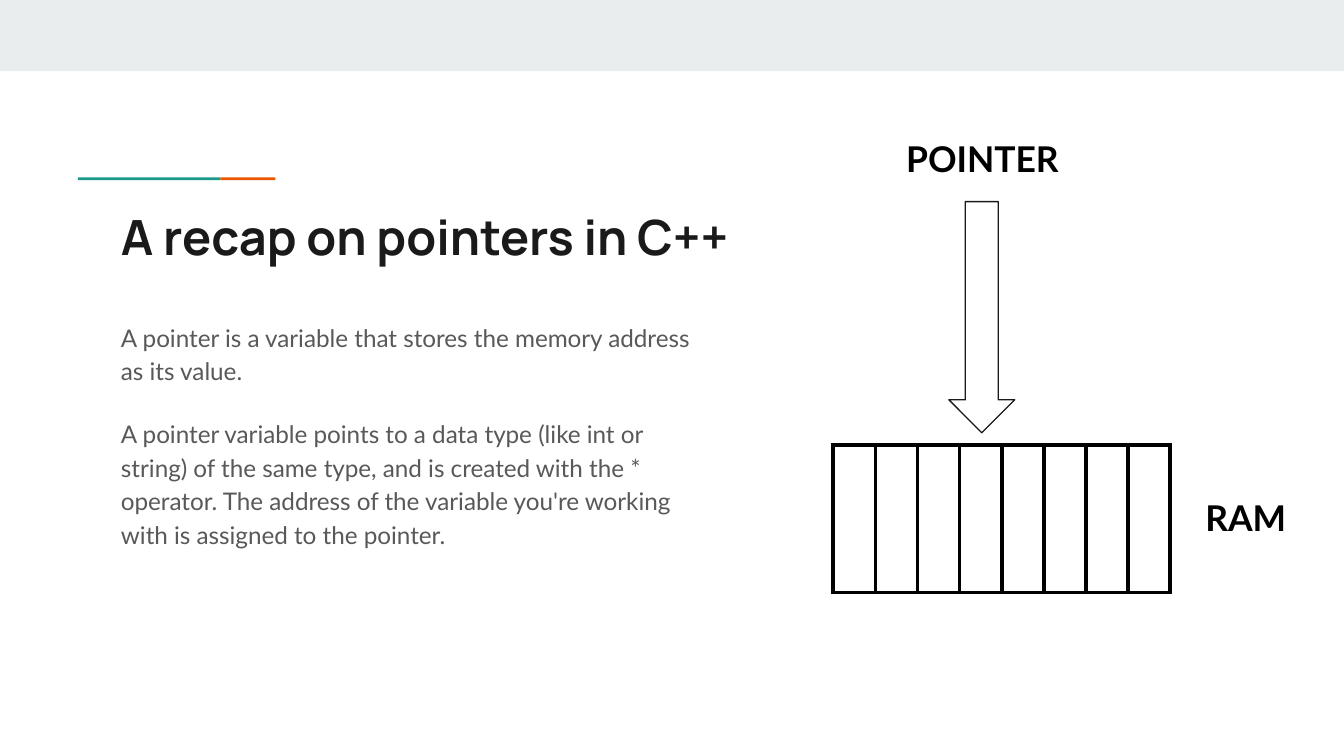
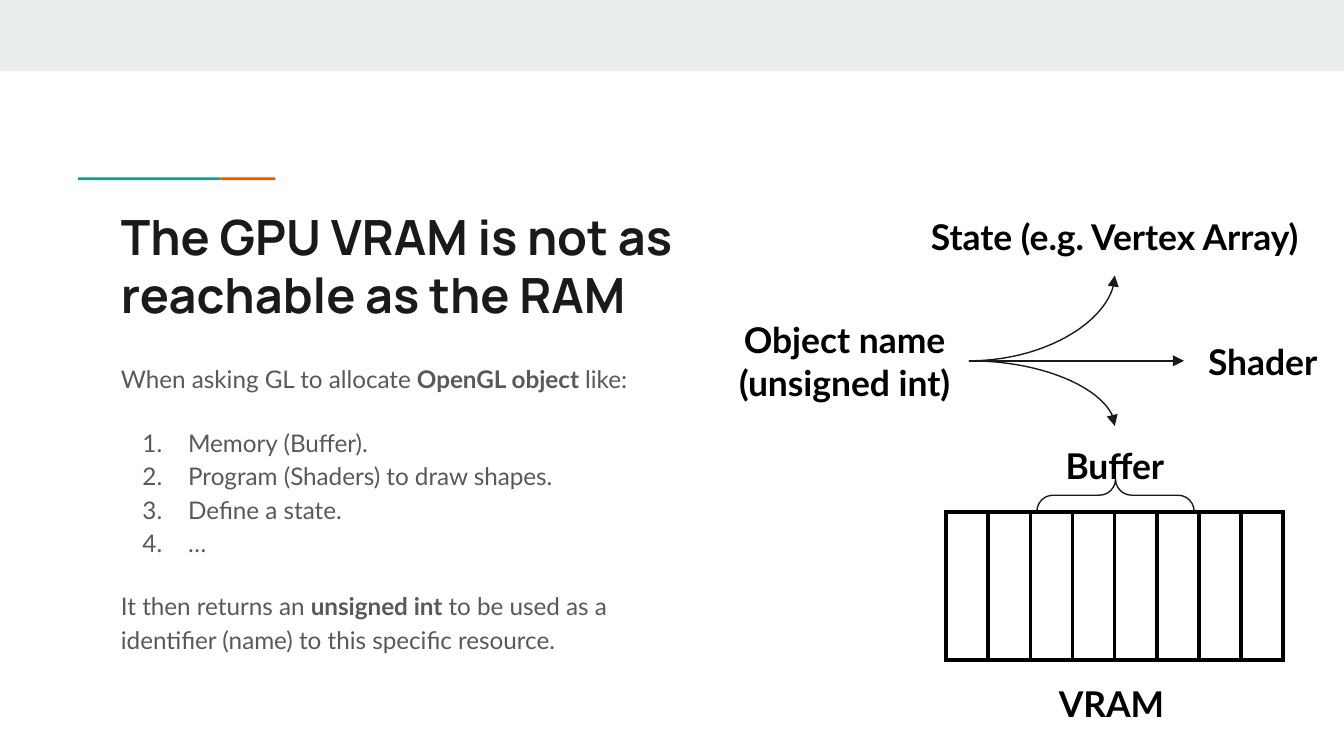
from lxml import etree
from pptx import Presentation
from pptx.dml.color import RGBColor
from pptx.enum.shapes import MSO_CONNECTOR, MSO_SHAPE
from pptx.enum.text import MSO_ANCHOR, MSO_AUTO_SIZE, PP_ALIGN
from pptx.oxml.ns import qn
from pptx.util import Inches, Pt

RECT, DOWN_ARROW, LEFT_BRACE = MSO_SHAPE.RECTANGLE, MSO_SHAPE.DOWN_ARROW, MSO_SHAPE.LEFT_BRACE
CURVE = MSO_CONNECTOR.CURVE
LEFT, CENTER = PP_ALIGN.LEFT, PP_ALIGN.CENTER
TOP, MIDDLE = MSO_ANCHOR.TOP, MSO_ANCHOR.MIDDLE
TOP_SIDE, LEFT_SIDE, BOTTOM_SIDE, RIGHT_SIDE = range(4)


class Theme:
    heading_font, text_font = "Manrope", "Lato"
    title_size, body_size, label_size = 26, 13, 19
    ink, grey, black = "1A1A1A", "595959", "000000"
    band, teal, orange = "E9EDEE", "1A9988", "EB5600"
    thin, cell_border = 0.75, 2.25
    line_spacing, paragraph_gap = 1.15, 16


# Shared bars: left, top, width, height, colour
BARS = [
    (0, 0, 10, 0.53, Theme.band),
    (0.58, 1.32, 1.06, 0.02, Theme.teal),
    (1.64, 1.32, 0.41, 0.02, Theme.orange),
]

# Body paragraphs: (style, runs); a run is (text, bold)
POINTER = {
    "title": ("A recap on pointers in C++", (0.8, 1.44, 8.41, 0.59)),
    "body_box": (0.8, 2.27, 4.56, 2.47),
    "body": [
        ("plain", [("A pointer is a variable that stores the memory address as its value.", False)]),
        ("plain", [("A pointer variable points to a data type (like int or string) of the same "
                    "type, and is created with the * operator. The address of the variable "
                    "you're working with is assigned to the pointer.", False)]),
    ],
    "memory": (6.2, 3.31),
    "labels": {
        "RAM": ((8.87, 3.58, 0.89, 0.54), LEFT),
        "POINTER": ((6.6, 0.94, 1.42, 0.47), CENTER),
    },
    "outlines": [(DOWN_ARROW, (7.06, 1.5, 0.49, 1.72), 0)],
    "arrows": [],
}

VRAM = {
    "title": ("The GPU VRAM is not as reachable as the RAM", (0.8, 1.44, 4.37, 0.59)),
    "body_box": (0.8, 2.58, 4.56, 2.37),
    "body": [
        ("plain", [("When asking GL to allocate ", False), ("OpenGL object", True), (" like:", False)]),
        ("number", [("Memory (Buffer).", False)]),
        ("number", [("Program (Shaders) to draw shapes.", False)]),
        ("number", [("Define a state.", False)]),
        ("number", [("…", False)]),
        ("plain", [("It then returns an ", False), ("unsigned int", True),
                   (" to be used as a identifier (name) to this specific resource.", False)]),
    ],
    "memory": (7.04, 3.81),
    "labels": {
        "VRAM": ((7.78, 4.96, 1.03, 0.54), LEFT),
        "Object name\n(unsigned int)": ((5.36, 2.39, 1.85, 0.59), CENTER),
        "Buffer": ((7.07, 3.17, 2.45, 0.59), CENTER),
        "Shader": ((8.81, 2.39, 1.17, 0.59), CENTER),
        "State (e.g. Vertex Array)": ((6.78, 1.46, 3.03, 0.59), CENTER),
    },
    "outlines": [(LEFT_BRACE, (8.18, 3.1, 0.24, 1.17), 90)],
    # From label, to label, side reached, connector preset
    "arrows": [
        ("Object name\n(unsigned int)", "Buffer", TOP_SIDE, "curvedConnector2"),
        ("Object name\n(unsigned int)", "Shader", LEFT_SIDE, "curvedConnector3"),
        ("Object name\n(unsigned int)", "State (e.g. Vertex Array)", BOTTOM_SIDE, "curvedConnector2"),
    ],
}


def rgb(color):
    return RGBColor.from_string(color)


def inches(box):
    return [Inches(v) for v in box]


def add_run(p, text, font, size, color, bold):
    r = p.add_run()
    r.text = text
    r.font.name, r.font.size, r.font.bold = font, Pt(size), bold
    r.font.color.rgb = rgb(color)


def prepare_frame(sp, anchor):
    tf = sp.text_frame
    tf.word_wrap, tf.auto_size, tf.vertical_anchor = True, MSO_AUTO_SIZE.NONE, anchor
    tf.margin_left = tf.margin_top = tf.margin_right = tf.margin_bottom = Inches(0.1)
    return tf


def place(sp, box):
    sp.left, sp.top, sp.width, sp.height = inches(box)


def add_color(parent, tag, color):
    etree.SubElement(etree.SubElement(parent, qn(tag)), qn("a:srgbClr"), val=color)


def set_bullet(p, numbered):
    pPr = p._p.get_or_add_pPr()
    pPr.set("marL", str(Inches(0.5 if numbered else 0)))
    pPr.set("indent", str(Inches(-0.34 if numbered else 0)))
    if numbered:
        add_color(pPr, "a:buClr", Theme.grey)
        etree.SubElement(pPr, qn("a:buAutoNum"), type="arabicPeriod")
    else:
        etree.SubElement(pPr, qn("a:buNone"))


def add_bars(slide):
    for *box, color in BARS:
        sp = slide.shapes.add_shape(RECT, *inches(box))
        sp.shadow.inherit = False
        sp.fill.solid()
        sp.fill.fore_color.rgb = rgb(color)
        sp.line.fill.background()


def fill_title(slide, text, box):
    sp = slide.shapes.title
    place(sp, box)
    p = prepare_frame(sp, TOP).paragraphs[0]
    p.alignment = LEFT
    add_run(p, text, Theme.heading_font, Theme.title_size, Theme.ink, True)


def fill_body(slide, paragraphs, box):
    """Write the body; a gap goes before each paragraph except between list items."""
    sp = slide.placeholders[1]
    place(sp, box)
    tf = prepare_frame(sp, TOP)
    previous = None
    for style, runs in paragraphs:
        p = tf.add_paragraph() if previous else tf.paragraphs[0]
        set_bullet(p, style == "number")
        p.line_spacing = Theme.line_spacing
        gap = previous and not previous == style == "number"
        p.space_before = Pt(Theme.paragraph_gap if gap else 0)
        for text, bold in runs:
            add_run(p, text, Theme.text_font, Theme.body_size, Theme.grey, bold)
        previous = style


def add_memory(slide, left, top, cells=8, width=2.51, height=1.1):
    frame = slide.shapes.add_table(1, cells, *inches((left, top, width, height)))
    table = frame.table
    table.first_row = table.horz_banding = False
    for column in table.columns:
        column.width = Inches(width / cells)
    for cell in table.iter_cells():
        tcPr = cell._tc.get_or_add_tcPr()
        for side in ("a:lnL", "a:lnR", "a:lnT", "a:lnB"):
            ln = etree.SubElement(tcPr, qn(side), w=str(Pt(Theme.cell_border)))
            add_color(ln, "a:solidFill", Theme.black)
        cell.fill.background()


def add_label(slide, text, box, alignment):
    sp = slide.shapes.add_textbox(*inches(box))
    tf = prepare_frame(sp, MIDDLE)
    for i, line in enumerate(text.split("\n")):
        p = tf.add_paragraph() if i else tf.paragraphs[0]
        p.alignment = alignment
        add_run(p, line, Theme.text_font, Theme.label_size, Theme.black, True)
    return sp


def style_line(sp):
    sp.line.color.rgb = rgb(Theme.ink)
    sp.line.width = Pt(Theme.thin)


def add_outline(slide, kind, box, rotation):
    sp = slide.shapes.add_shape(kind, *inches(box))
    sp.shadow.inherit = False
    sp.rotation = rotation
    sp.adjustments[0] = sp.adjustments[1] = 0.5
    sp.fill.background()
    style_line(sp)


def add_arrow(slide, start, end, side, preset):
    cxn = slide.shapes.add_connector(CURVE, 0, 0, 0, 0)
    cxn.begin_connect(start, RIGHT_SIDE)
    cxn.end_connect(end, side)
    style_line(cxn)
    spPr = cxn._element.spPr
    spPr.find(qn("a:prstGeom")).set("prst", preset)
    etree.SubElement(spPr.find(qn("a:ln")), qn("a:tailEnd"), type="triangle")
    etree.SubElement(spPr, qn("a:effectLst"))


def build_slide(prs, content):
    slide = prs.slides.add_slide(prs.slide_layouts[1])
    add_bars(slide)
    fill_title(slide, *content["title"])
    fill_body(slide, content["body"], content["body_box"])
    add_memory(slide, *content["memory"])
    labels = {text: add_label(slide, text, *spot) for text, spot in content["labels"].items()}
    for outline in content["outlines"]:
        add_outline(slide, *outline)
    for start, end, side, preset in content["arrows"]:
        add_arrow(slide, labels[start], labels[end], side, preset)


def main():
    prs = Presentation()
    prs.slide_width = Inches(10)
    prs.slide_height = prs.slide_width * 9 // 16
    for content in (POINTER, VRAM):
        build_slide(prs, content)
    prs.save("out.pptx")


if __name__ == "__main__":
    main()
